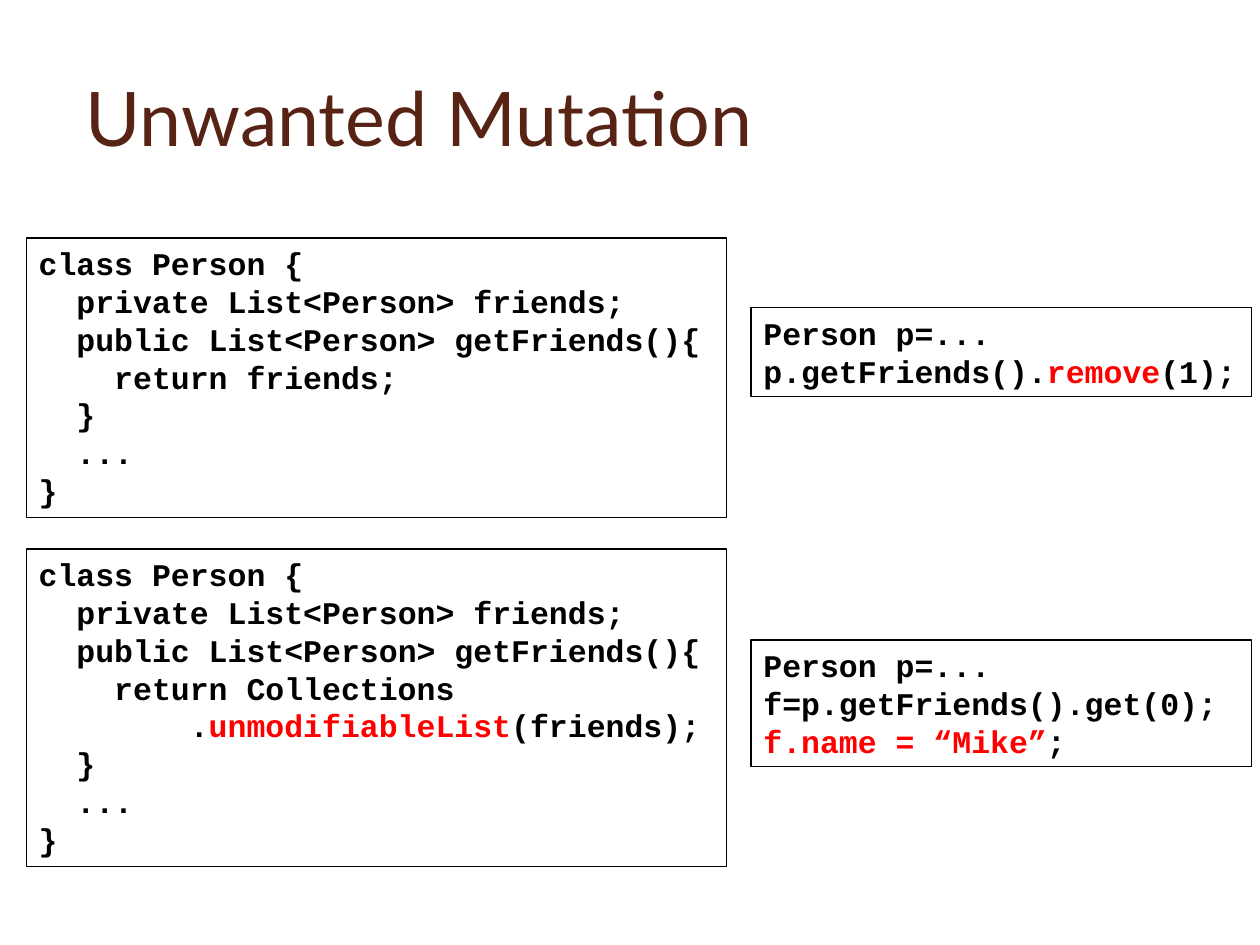
import pptx
import pptx.dml.color
import pptx.enum.shapes
import pptx.enum.text
import pptx.util
from pptx.util import Cm

BROWN = pptx.dml.color.RGBColor(0x57, 0x23, 0x14)
BLACK = pptx.dml.color.RGBColor(0, 0, 0)
RED = pptx.dml.color.RGBColor(0xFF, 0, 0)

TITLE = "Unwanted Mutation"
CLASS_COLUMN = (0.53, 14.12)  # left and width in cm
CALLER_COLUMN = (15.14, 10.09)

# Column, top and height in cm, code; text between asterisks is highlighted.
LISTINGS = [
    (CLASS_COLUMN, 4.8, 5.64, """class Person {
  private List<Person> friends;
  public List<Person> getFriends(){
    return friends;
  }
  ...
}"""),
    (CALLER_COLUMN, 6.2, 1.8, """Person p=...
p.getFriends().*remove*(1);"""),
    (CLASS_COLUMN, 11.07, 6.4, """class Person {
  private List<Person> friends;
  public List<Person> getFriends(){
    return Collections
        .*unmodifiableList*(friends);
  }
  ...
}"""),
    (CALLER_COLUMN, 12.9, 2.56, """Person p=...
f=p.getFriends().get(0);
*f.name = “Mike”*;"""),
]
CODE_SIZE = pptx.util.Pt(18)
CHAR_WIDTH = int(CODE_SIZE * 0.6)  # advance of the monospaced font


def style(run, font_name, size, color, bold=False):
    """Format one run."""
    run.font.name = font_name
    run.font.size = size
    run.font.bold = bold
    run.font.color.rgb = color


def add_title(slide):
    """Fill and place the title placeholder."""
    title = slide.shapes.title
    title.left, title.top, title.width, title.height = (
        Cm(1.47), Cm(0.76), Cm(22.53), Cm(3.18))
    frame = title.text_frame
    frame.text = TITLE
    frame.vertical_anchor = pptx.enum.text.MSO_ANCHOR.MIDDLE
    heading = frame.paragraphs[0]
    heading.alignment = pptx.enum.text.PP_ALIGN.LEFT
    style(heading.runs[0], "Lato", pptx.util.Pt(43), BROWN)


def add_code_line(paragraph, line):
    """Write a line of code, with its indent as a paragraph margin."""
    code = line.lstrip()
    properties = paragraph._p.get_or_add_pPr()
    properties.set("marL", str((len(line) - len(code)) * CHAR_WIDTH))
    properties.set("indent", "0")
    paragraph.alignment = pptx.enum.text.PP_ALIGN.LEFT
    for position, segment in enumerate(code.split("*")):
        if segment:
            run = paragraph.add_run()
            run.text = segment
            style(run, "Courier New", CODE_SIZE,
                  RED if position % 2 else BLACK, bold=True)


def add_listing(slide, column, top, height, code):
    """Draw one outlined box of code."""
    left, width = column
    listing = slide.shapes.add_shape(
        pptx.enum.shapes.MSO_SHAPE.RECTANGLE,
        Cm(left), Cm(top), Cm(width), Cm(height))
    listing.shadow.inherit = False
    listing.fill.background()
    listing.line.color.rgb = BLACK
    listing.line.width = pptx.util.Pt(0.75)
    frame = listing.text_frame
    frame.word_wrap = True
    frame.auto_size = pptx.enum.text.MSO_AUTO_SIZE.SHAPE_TO_FIT_TEXT
    frame.vertical_anchor = pptx.enum.text.MSO_ANCHOR.TOP
    for number, line in enumerate(code.splitlines()):
        paragraph = frame.add_paragraph() if number else frame.paragraphs[0]
        add_code_line(paragraph, line)


deck = pptx.Presentation()
deck.slide_width, deck.slide_height = Cm(25.4), Cm(19.05)
slide = deck.slides.add_slide(deck.slide_layouts.get_by_name("Title Only"))
add_title(slide)
for listing in LISTINGS:
    add_listing(slide, *listing)
deck.save("out.pptx")
